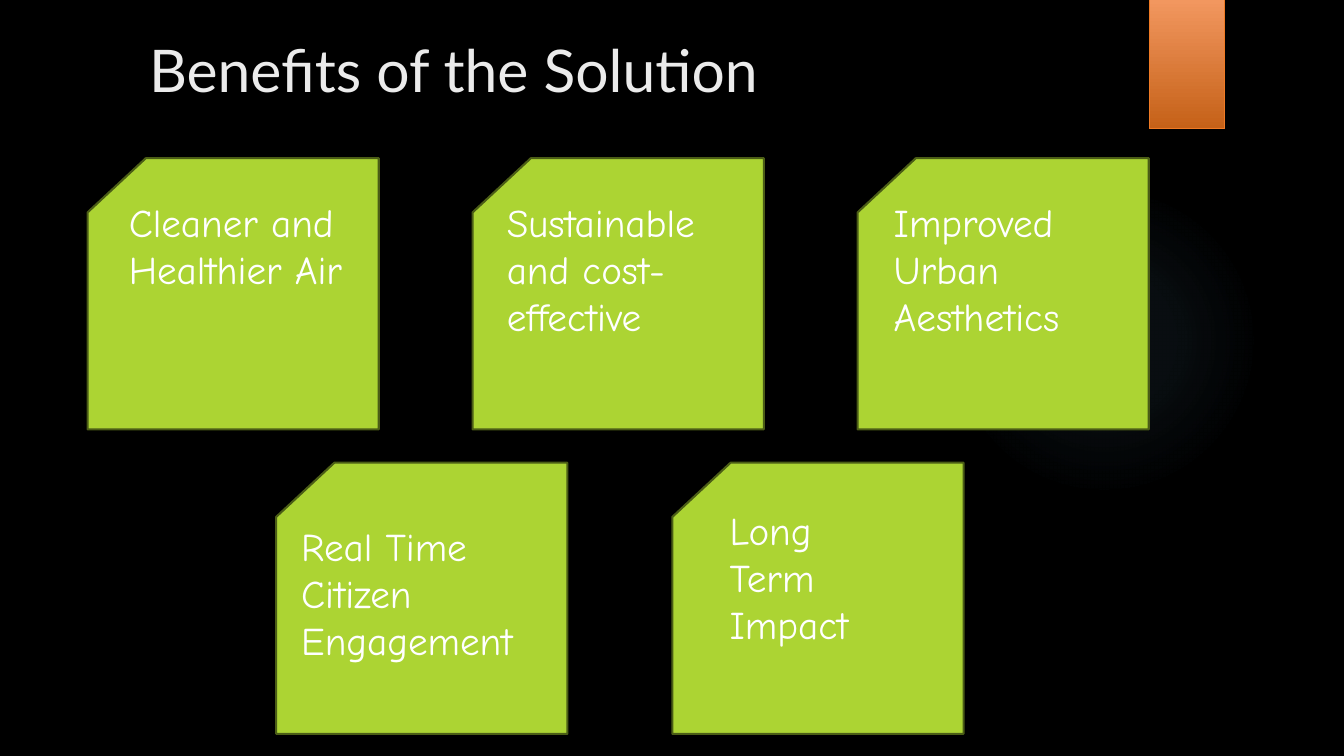
from dataclasses import dataclass

from pptx import Presentation
from pptx.dml.color import RGBColor as Color
from pptx.enum.shapes import MSO_SHAPE as Preset
from pptx.enum.text import MSO_AUTO_SIZE as AutoSize
from pptx.oxml import parse_xml
from pptx.oxml.ns import nsdecls, qn
from pptx.util import Pt


@dataclass(frozen=True)
class Theme:
    """Colours, fonts and type sizes of the slide."""
    background: str = "000000"
    title_color: str = "EBEBEB"
    card_color: str = "ACD433"
    card_line: str = "4B5D16"
    card_text: str = "FFFFFF"
    glow: str = "7AC4F0"
    tab_top: str = "F2975F"
    tab_bottom: str = "C56118"
    tab_line: str = "EF7A24"
    title_font: str = "Lato"
    card_font: str = "Comic Neue"
    title_size: int = 42
    card_size: int = 28


class SlideBuilder:
    """Draws styled elements on one slide."""

    def __init__(self, slide, theme):
        self.slide = slide
        self.theme = theme
        fill = slide.background.fill
        fill.solid()
        fill.fore_color.rgb = Color.from_string(theme.background)

    def shape(self, shapes, preset, box, fill=None, line=None, line_width=0.75):
        """Add a preset shape without shadow."""
        shape = shapes.add_shape(preset, *map(Pt, box))
        shape.shadow.inherit = False
        if fill:
            shape.fill.solid()
            shape.fill.fore_color.rgb = Color.from_string(fill)
        else:
            shape.fill.background()
        if line:
            shape.line.color.rgb = Color.from_string(line)
            shape.line.width = Pt(line_width)
        else:
            shape.line.fill.background()
        return shape

    def gradient(self, shape, stops, direction):
        """Fill a shape with stops of (position, colour, opacity) in percent."""
        stop_xml = "".join(
            f'<a:gs pos="{position * 1000}"><a:srgbClr val="{color}">'
            f'<a:alpha val="{opacity * 1000}"/></a:srgbClr></a:gs>'
            for position, color, opacity in stops)
        properties = shape.element.spPr
        properties.replace(properties.find(qn("a:noFill")), parse_xml(
            f'<a:gradFill {nsdecls("a")} rotWithShape="1">'
            f"<a:gsLst>{stop_xml}</a:gsLst>{direction}</a:gradFill>"))

    def text(self, shapes, words, box, font, size, color):
        """Add a wrapping text box with one paragraph."""
        text_box = shapes.add_textbox(*map(Pt, box))
        text_frame = text_box.text_frame
        text_frame.word_wrap = True
        text_frame.auto_size = AutoSize.NONE
        text_frame.text = words
        run_font = text_frame.paragraphs[0].runs[0].font
        run_font.name = font
        run_font.size = Pt(size)
        run_font.color.rgb = Color.from_string(color)

    def glow(self, box):
        """Add the faint round glow."""
        theme = self.theme
        shape = self.shape(self.slide.shapes, Preset.OVAL, box)
        self.gradient(
            shape, [(0, theme.glow, 7), (36, theme.glow, 6), (69, theme.glow, 0)],
            '<a:path path="circle"><a:fillToRect l="50000" t="50000" '
            'r="50000" b="50000"/></a:path>')

    def tab(self, box):
        """Add the orange tab at the top edge."""
        theme = self.theme
        shape = self.shape(self.slide.shapes, Preset.RECTANGLE, box, line=theme.tab_line)
        self.gradient(shape, [(0, theme.tab_top, 100), (100, theme.tab_bottom, 100)],
                      '<a:lin ang="5400000" scaled="0"/>')

    def title(self, words, box):
        """Add the slide title."""
        theme = self.theme
        self.text(self.slide.shapes, words, box,
                  theme.title_font, theme.title_size, theme.title_color)

    def card(self, words, left, top, inset_left, inset_top, text_width):
        """Add a cut-corner card grouped with its label."""
        theme = self.theme
        shapes = self.slide.shapes.add_group_shape().shapes
        self.shape(shapes, Preset.FLOWCHART_CARD, (left, top, 208, 193.7),
                   theme.card_color, theme.card_line, 1.5)
        self.text(shapes, words, (left + inset_left, top + inset_top, text_width, 108.7),
                  theme.card_font, theme.card_size, theme.card_text)


ROWS = [
    (62.6, 113, 275, [
        ("Cleaner and Healthier Air", 22.3, 25.2, 167),
        ("Sustainable and cost-effective", 17.3, 25.2, 178.6),
        ("Improved Urban Aesthetics", 18.7, 25.2, 163.4),
    ]),
    (197.3, 330.5, 283, [
        ("Real Time Citizen Engagement", 10.8, 38.9, 196.6),
        ("Long Term Impact", 33.8, 27.4, 115.2),
    ]),
]


def main():
    """Build the slide and save it."""
    presentation = Presentation()
    presentation.slide_width = Pt(960)
    presentation.slide_height = Pt(540)
    slide = presentation.slides.add_slide(presentation.slide_layouts[6])
    builder = SlideBuilder(slide, Theme())
    builder.glow((677.5, 131.8, 221.8, 221.8))
    builder.title("Benefits of the Solution", (99.4, 20.9, 789, 138))
    builder.tab((820.8, 0, 54, 92))
    for left, top, step, cards in ROWS:
        for index, (words, *label) in enumerate(cards):
            builder.card(words, left + index * step, top, *label)
    presentation.save("out.pptx")


if __name__ == "__main__":
    main()
